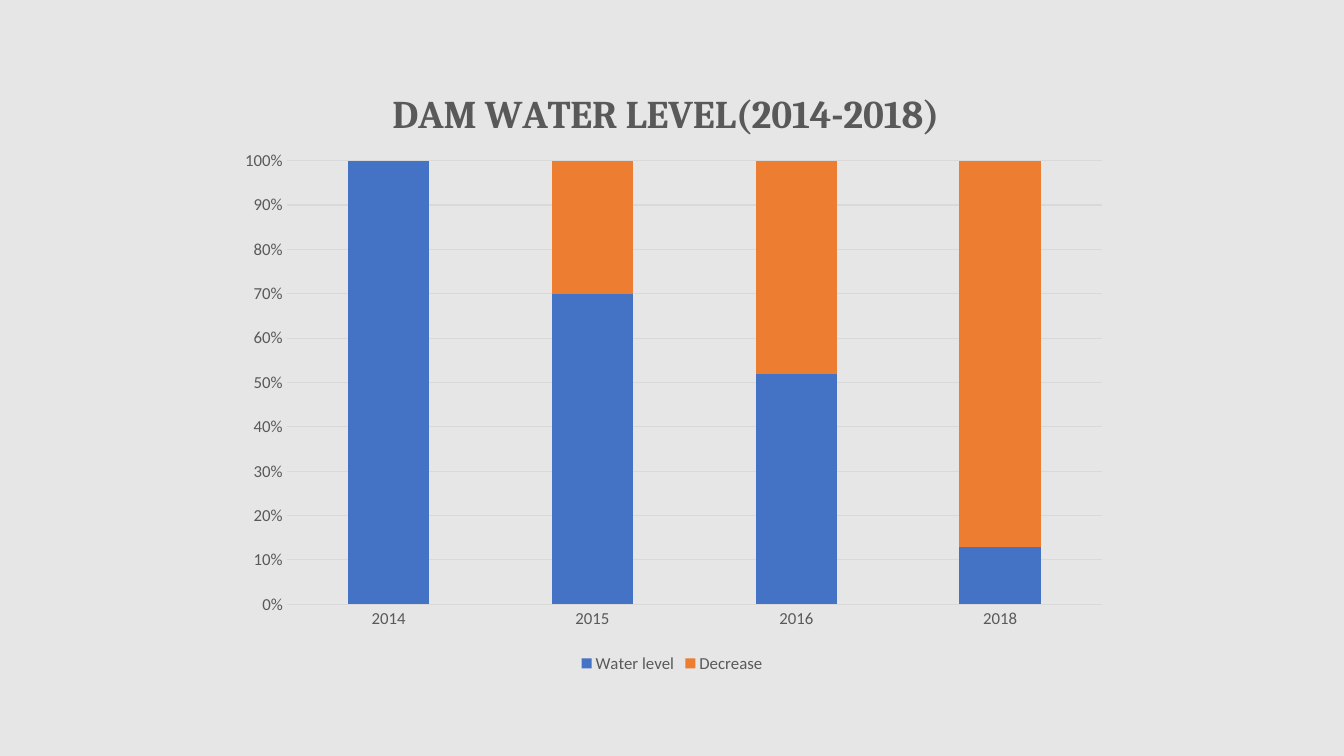
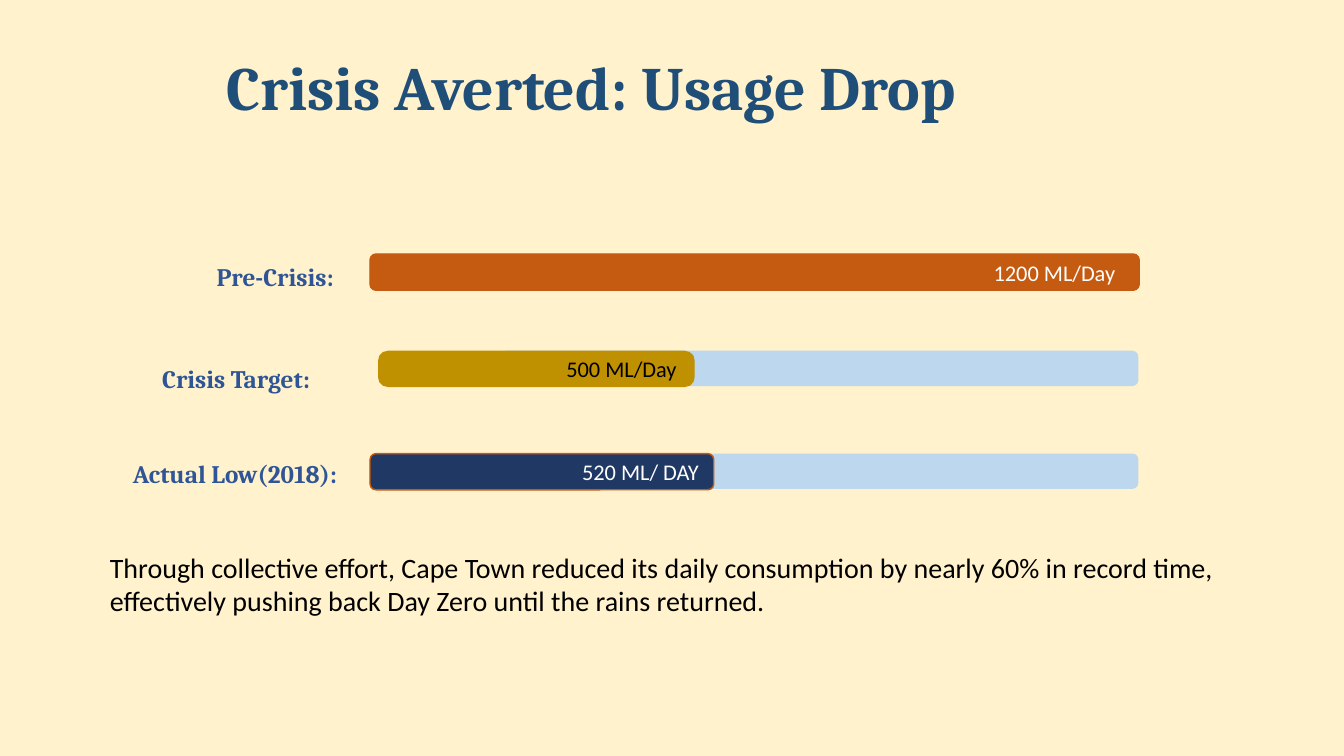
"""Build two slides on dam levels and the drop in water use."""
import pptx
import pptx.chart.data
import pptx.dml.color
import pptx.enum.chart
import pptx.enum.shapes
import pptx.enum.text
import pptx.oxml
import pptx.oxml.ns
import pptx.util

HEAD, BODY = "Cambria", "Calibri"
GREY, BLUE, TRACK, RUST, WHITE = "595959", "2F5597", "BDD7EE", "C55A11", "FFFFFF"
ALIGN = pptx.enum.text.PP_ALIGN
qn = pptx.oxml.ns.qn

prs = pptx.Presentation()
prs.slide_width = pptx.util.Inches(13.33)
prs.slide_height = pptx.util.Inches(7.5)
COL, ROW = prs.slide_width / 100, prs.slide_height / 100


def style(font, color, name, size, bold=False):
    """Set a font's colour and its other values."""
    for key, value in dict(name=name, size=pptx.util.Pt(size), bold=bold).items():
        setattr(font, key, value)
    font.color.rgb = pptx.dml.color.RGBColor.from_string(color)


def add(s, x, y, w, h, text="", font=(), fill=None, line=None, inset=0.1):
    """Add a text box, or a rounded bar if a fill is given, on the 100 by 100 grid."""
    at = [int(v) for v in (x * COL, y * ROW, w * COL, h * ROW)]
    if fill:
        sp = s.shapes.add_shape(pptx.enum.shapes.MSO_SHAPE.ROUNDED_RECTANGLE, *at)
        sp.shadow.inherit = False
        sp.fill.solid()
        sp.fill.fore_color.rgb = pptx.dml.color.RGBColor.from_string(fill)
        if line:
            sp.line.color.rgb = pptx.dml.color.RGBColor.from_string(line)
            sp.line.width = pptx.util.Pt(1)
        else:
            sp.line.fill.background()
    else:
        sp = s.shapes.add_textbox(*at)
    if text:
        tf = sp.text_frame
        tf.word_wrap = True
        tf.margin_right = pptx.util.Inches(inset)
        p = tf.paragraphs[0]
        p.alignment = ALIGN.RIGHT if fill else ALIGN.LEFT
        r = p.add_run()
        r.text = text
        style(r.font, *font)
    return sp


slides = []
for color in ("E7E6E6", "FFF2CC"):
    s = prs.slides.add_slide(prs.slide_layouts[6])
    s.background.fill.solid()
    s.background.fill.fore_color.rgb = pptx.dml.color.RGBColor.from_string(color)
    slides.append(s)
levels, usage = slides

data = pptx.chart.data.CategoryChartData()
data.categories = ["2014", "2015", "2016", "2018"]
data.add_series("Water level", (100, 70, 52, 13))
data.add_series("Decrease", (0, 30, 48, 87))
chart = levels.shapes.add_chart(
    pptx.enum.chart.XL_CHART_TYPE.COLUMN_STACKED_100,
    int(16.67 * COL), int(9.2 * ROW), int(66.67 * COL), int(80.4 * ROW), data).chart
style(chart.font, GREY, BODY, 12)
plot = chart.plots[0]
plot.gap_width, plot.overlap, plot.vary_by_categories = 150, 100, False
for series, color in zip(plot.series, ("4472C4", "ED7D31")):
    series.format.fill.solid()
    series.format.fill.fore_color.rgb = pptx.dml.color.RGBColor.from_string(color)

for axis in (chart.category_axis, chart.value_axis):
    axis.major_tick_mark = axis.minor_tick_mark = pptx.enum.chart.XL_TICK_MARK.NONE
    axis.format.line.fill.background()
    style(axis.tick_labels.font, GREY, BODY, 12)
axis = chart.value_axis
axis.minimum_scale, axis.maximum_scale, axis.major_unit = 0, 1, 0.1
axis.tick_labels.number_format = "0%"
axis.tick_labels.number_format_is_linked = False
grid = axis.major_gridlines.format.line
grid.color.rgb = pptx.dml.color.RGBColor.from_string("D9D9D9")
grid.width = pptx.util.Pt(0.75)

chart.has_legend = True
chart.legend.position = pptx.enum.chart.XL_LEGEND_POSITION.BOTTOM
chart.legend.include_in_layout = False
style(chart.legend.font, GREY, BODY, 12)
chart.has_title = True
r = chart.chart_title.text_frame.paragraphs[0].add_run()
r.text = "DAM WATER LEVEL(2014-2018)"
style(r.font, GREY, HEAD, 28, True)

root = chart.element.find(qn("c:chart"))
layouts = [
    ("c:title", 1, dict(xMode="edge", yMode="edge", x=0.18, y=0.02)),
    ("c:plotArea", 0, dict(layoutTarget="inner", xMode="edge", yMode="edge",
                           x=0.07, y=0.15, w=0.91, h=0.73)),
]
for tag, index, values in layouts:
    part = root.find(qn(tag))
    for old in part.findall(qn("c:layout")):
        part.remove(old)
    items = "".join(f'<c:{key} val="{value}"/>' for key, value in values.items())
    part.insert(index, pptx.oxml.parse_xml(
        f'<c:layout {pptx.oxml.ns.nsdecls("c")}><c:manualLayout>{items}'
        "</c:manualLayout></c:layout>"))

add(usage, 16.13, 5.87, 67.74, 11.2, "Crisis Averted: Usage Drop", ("1F4E79", HEAD, 44, True))
for y in (46.4, 60):
    add(usage, 37.21, y, 47.49, 4.67, fill=TRACK)

bars = [
    ("Pre-Crisis:", 15.38, 33.87, "1200 ML/Day", 27.53, 33.6, 57.24, "C55A11", RUST, WHITE, 0.22),
    ("Crisis Target:", 11.33, 47.47, "500 ML/Day", 28.13, 46.4, 23.56, "BF9000", None, "000000", 0.15),
    ("Actual Low(2018):", 9.15, 60, "520 ML/ DAY", 27.53, 60, 25.58, "203864", RUST, WHITE, 0.13),
]
for label, lx, ly, amount, x, y, w, fill, line, color, inset in bars:
    add(usage, lx, ly, 18.98, 4.8, label, (BLUE, HEAD, 18, True))
    bar = add(usage, x, y, w, 4.8, amount, (color, BODY, 16), fill, line, inset)
    bar.text_frame.vertical_anchor = pptx.enum.text.MSO_ANCHOR.MIDDLE
    if not line:
        bar.adjustments[0] = 0.27

add(usage, 7.43, 72.13, 87.02, 10.27,
    "Through collective effort, Cape Town reduced its daily consumption by nearly 60% "
    "in record time, effectively pushing back Day Zero until the rains returned.",
    ("000000", BODY, 20))

prs.save("out.pptx")
